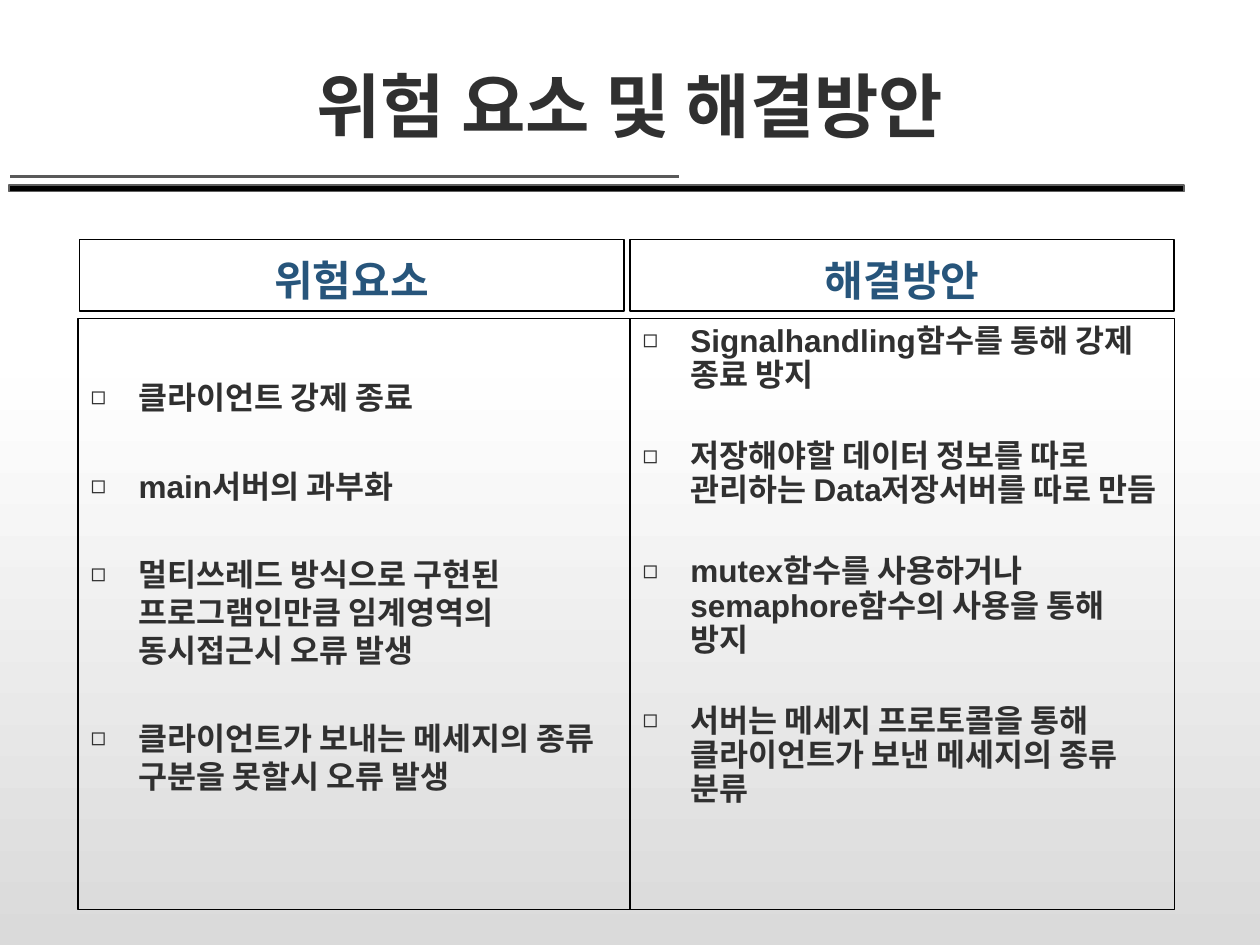
from copy import deepcopy
from dataclasses import dataclass

from lxml.etree import SubElement
from pptx import Presentation
from pptx.dml.color import RGBColor as RGB
from pptx.enum.shapes import MSO_CONNECTOR as CONN, MSO_SHAPE as SHAPE
from pptx.enum.text import MSO_ANCHOR as ANCHOR, MSO_AUTO_SIZE as AUTO, PP_ALIGN as ALIGN
from pptx.oxml.ns import qn
from pptx.util import Inches, Pt


@dataclass(frozen=True)
class Theme:
    font: str = "Arial"
    text: RGB = RGB.from_string("303030")
    heading: RGB = RGB.from_string("27557B")
    border: RGB = RGB.from_string("000000")
    bar_edge: RGB = RGB.from_string("5F5F5F")
    rule: RGB = RGB.from_string("595959")
    background: tuple = ((0, "FFFFFF"), (0.4, "FEFEFE"), (1, "DADADA"))
    title_size: int = 40
    heading_size: int = 24
    body_size: int = 18


@dataclass(frozen=True)
class Box:
    left: float
    top: float
    width: float
    height: float


@dataclass(frozen=True)
class Column:
    heading: str
    heading_box: Box
    list_box: Box
    items: tuple[str, ...]
    top_inset: float
    line_spacing: float
    gap: float


THEME = Theme()
COLUMNS = (
    Column(
        "위험요소", Box(0.63, 1.9, 4.32, 0.57), Box(0.62, 2.53, 4.38, 4.69),
        (
            "클라이언트 강제 종료",
            "main서버의 과부화",
            "멀티쓰레드 방식으로 구현된 프로그램인만큼 임계영역의 동시접근시 오류 발생",
            "클라이언트가 보내는 메세지의 종류 구분을 못할시 오류 발생",
        ),
        0.47, 1.0, 29,
    ),
    Column(
        "해결방안", Box(5, 1.9, 4.32, 0.57), Box(5, 2.53, 4.32, 4.69),
        (
            "Signalhandling함수를 통해 강제 종료 방지",
            "저장해야할 데이터 정보를 따로 관리하는 Data저장서버를 따로 만듬",
            "mutex함수를 사용하거나 semaphore함수의 사용을 통해 방지",
            "서버는 메세지 프로토콜을 통해 클라이언트가 보낸 메세지의 종류 분류",
        ),
        0.05, 0.9, 27,
    ),
)


def place(sp, box: Box) -> None:
    sp.left, sp.top = Inches(box.left), Inches(box.top)
    sp.width, sp.height = Inches(box.width), Inches(box.height)


def outline(sp, color: RGB, width: float) -> None:
    sp.line.color.rgb = color
    sp.line.width = Pt(width)


def format_runs(p, size: int, color: RGB) -> None:
    for r in p.runs:
        r.font.name = THEME.font
        r.font.size = Pt(size)
        r.font.bold = True
        r.font.color.rgb = color


def add_bullet(p) -> None:
    pPr = p._p.get_or_add_pPr()
    pPr.set("marL", str(Inches(0.38)))
    pPr.set("indent", str(-Inches(0.38)))
    SubElement(pPr, qn("a:buSzPct"), val="80000")
    SubElement(pPr, qn("a:buFont"), typeface=THEME.font)
    SubElement(pPr, qn("a:buChar"), char="◻")


def fill_heading(sp, text: str, box: Box, size: int, color: RGB) -> None:
    place(sp, box)
    tf = sp.text_frame
    tf.text = text
    tf.auto_size = AUTO.NONE
    tf.vertical_anchor = ANCHOR.BOTTOM
    p = tf.paragraphs[0]
    p.alignment = ALIGN.CENTER
    p.space_before = Pt(0)
    format_runs(p, size, color)


def fill_list(sp, column: Column) -> None:
    place(sp, column.list_box)
    outline(sp, THEME.border, 0.75)
    tf = sp.text_frame
    tf.text = "\n".join(column.items)
    tf.auto_size = AUTO.NONE
    tf.vertical_anchor = ANCHOR.TOP
    tf.margin_top = Inches(column.top_inset)
    for i, p in enumerate(tf.paragraphs):
        add_bullet(p)
        p.line_spacing = column.line_spacing
        p.space_before = Pt(column.gap if i else 0)
        format_runs(p, THEME.body_size, THEME.text)


def paint_background(s) -> None:
    fill = s.background.fill
    fill.gradient()
    fill.gradient_angle = 270
    stops = s.element.find(".//" + qn("a:gsLst"))
    stops.append(deepcopy(stops[-1]))
    for stop, (position, color) in zip(fill.gradient_stops, THEME.background):
        stop.position = position
        stop.color.rgb = RGB.from_string(color)


def draw_rules(s) -> None:
    bar = s.shapes.add_shape(
        SHAPE.RECTANGLE, Inches(0.07), Inches(1.47), Inches(9.33), Inches(0.05)
    )
    bar.shadow.inherit = False
    bar.fill.solid()
    bar.fill.fore_color.rgb = THEME.border
    outline(bar, THEME.bar_edge, 1)
    rule = s.shapes.add_connector(
        CONN.STRAIGHT, Inches(0.08), Inches(1.4), Inches(5.39), Inches(1.4)
    )
    outline(rule, THEME.rule, 2)
    SubElement(rule._element.spPr, qn("a:effectLst"))


def main() -> None:
    prs = Presentation()
    prs.slide_width, prs.slide_height = Inches(10), Inches(7.5)
    s = prs.slides.add_slide(prs.slide_layouts.get_by_name("Comparison"))
    paint_background(s)
    fill_heading(
        s.shapes.title, "위험 요소 및 해결방안", Box(0.75, 0.25, 8.5, 0.96),
        THEME.title_size, THEME.text,
    )
    for i, column in enumerate(COLUMNS):
        heading, body = s.placeholders[2 * i + 1], s.placeholders[2 * i + 2]
        fill_heading(
            heading, column.heading, column.heading_box, THEME.heading_size, THEME.heading
        )
        outline(heading, THEME.border, 1)
        fill_list(body, column)
    draw_rules(s)
    prs.save("out.pptx")


if __name__ == "__main__":
    main()
